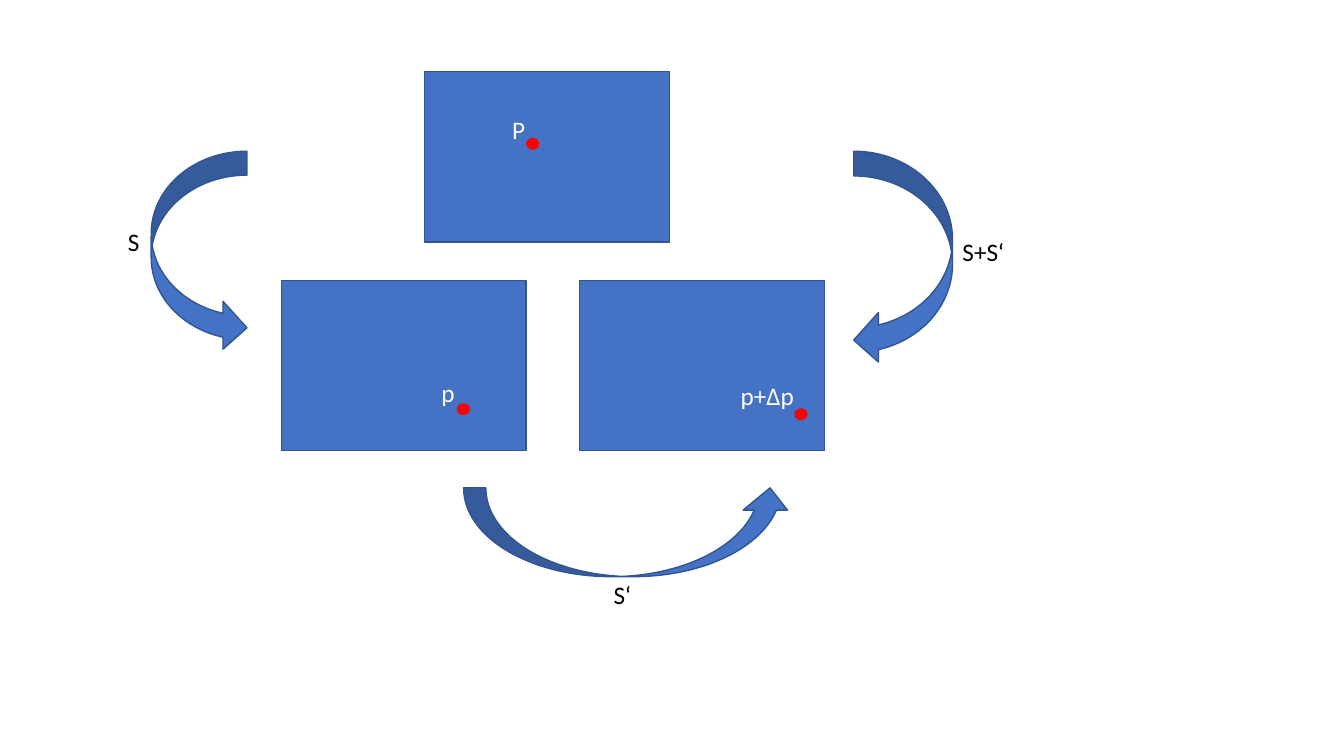
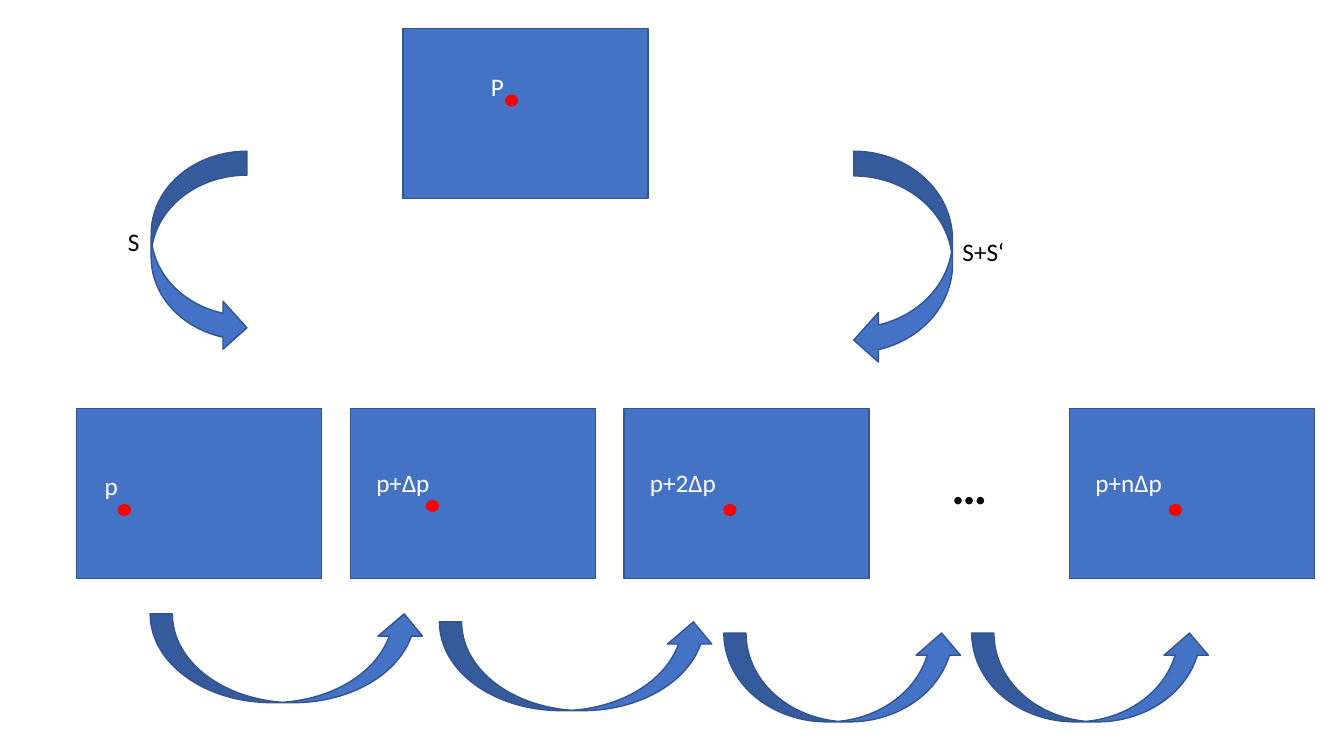
from dataclasses import dataclass

from pptx import Presentation
from pptx.dml.color import RGBColor
from pptx.enum.shapes import MSO_SHAPE
from pptx.enum.text import MSO_AUTO_SIZE
from pptx.util import Pt

RECTANGLE = MSO_SHAPE.RECTANGLE
ELLIPSE = MSO_SHAPE.OVAL
ARROW_LEFT_SIDE = MSO_SHAPE.CURVED_RIGHT_ARROW
ARROW_RIGHT_SIDE = MSO_SHAPE.CURVED_LEFT_ARROW
ARROW_BELOW = MSO_SHAPE.CURVED_UP_ARROW
FIT_SHAPE = MSO_AUTO_SIZE.SHAPE_TO_FIT_TEXT
BLANK_LAYOUT = 6


@dataclass(frozen=True)
class Theme:
    """Colours, font and sizes shared by both slides."""
    panel: RGBColor = RGBColor(0x44, 0x72, 0xC4)
    outline: RGBColor = RGBColor(0x32, 0x54, 0x91)
    point: RGBColor = RGBColor(0xFF, 0x00, 0x00)
    light: RGBColor = RGBColor(0xFF, 0xFF, 0xFF)
    dark: RGBColor = RGBColor(0x00, 0x00, 0x00)
    font: str = "Calibri"
    label_size: float = 18
    ellipsis_size: float = 36
    outline_width: float = 1


THEME = Theme()
PANEL_SIZE = (175, 121.7)
POINT_SIZE = (9.4, 8.6)
LABEL_HEIGHT = 29.1
ARROW_DEPTH = 63.4
ROW_LEFT, ROW_TOP, ROW_PITCH = 54.7, 291.6, 195.5

# Side arrows: shape, (left, top, width, height)
SIDE_ARROWS = [
    (ARROW_LEFT_SIDE, (108, 108, 68.4, 143.3)),
    (ARROW_RIGHT_SIDE, (609.8, 108, 70.6, 152.6)),
]
# Labels on the page: text, (left, top), width
SIDE_LABELS = [
    ("S", (84.2, 158.4), 32.4),
    ("S+S‘", (680.4, 164.9), 51.8),
]
# Panels: (left, top), label, label offset, label width, point offset
# Arrows below: left, top, width
SLIDES = [
    {
        "panels": [
            ((303.1, 51.1), "P", (55.6, 27.1), 17.3, (72.7, 47.3)),
            ((200.9, 200.2), "p", (107.3, 65.5), 28.1, (125.3, 87.8)),
            ((414, 200.2), "p+Δp", (108, 67.7), 69.1, (153.4, 91.4)),
        ],
        "arrows": [(331.2, 348.5, 234.7)],
        "labels": [("S‘", (431.3, 410.4), 91.4)],
        "ellipsis": None,
    },
    {
        "panels": [
            ((288, 20.2), "P", (55.6, 27.1), 17.3, (72.7, 47.3)),
            ((ROW_LEFT, ROW_TOP), "p", (13, 41), 28.1, (29.5, 68.4)),
            ((ROW_LEFT + ROW_PITCH, ROW_TOP), "p+Δp",
             (11.5, 38.9), 69.1, (54, 65.5)),
            ((ROW_LEFT + 2 * ROW_PITCH, ROW_TOP), "p+2Δp",
             (11.5, 38.9), 69.1, (71, 68.4)),
            ((763.9, ROW_TOP), "p+nΔp", (11.5, 38.9), 69.1, (71, 68.4)),
        ],
        "arrows": [
            (107.3, 438.5, 197.3),
            (313.9, 444.2, 197.3),
            (517, 452.2, 171.4),
            (694.1, 452.2, 171.4),
        ],
        "labels": [],
        "ellipsis": ("…", (672.5, 321.1, 39.6, 51.1)),
    },
]


def add_figure(page, kind, area, fill, outline=None):
    """Add a filled shape, with an outline when a colour is given."""
    shape = page.shapes.add_shape(kind, *map(Pt, area))
    shape.shadow.inherit = False
    shape.fill.solid()
    shape.fill.fore_color.rgb = fill
    if outline is None:
        shape.line.fill.background()
    else:
        shape.line.color.rgb = outline
        shape.line.width = Pt(THEME.outline_width)


def add_label(page, text, area, color, size=THEME.label_size, bold=False):
    """Add one line of text in a box."""
    box = page.shapes.add_textbox(*map(Pt, area))
    frame = box.text_frame
    frame.word_wrap = True
    frame.auto_size = FIT_SHAPE
    para = frame.paragraphs[0]
    para.text = text
    para.font.name = THEME.font
    para.font.size = Pt(size)
    para.font.bold = bold
    para.font.color.rgb = color


def add_panel(page, corner, text, label_offset, label_width, point_offset):
    """Add a panel with its marked point and the point's label."""
    left, top = corner
    add_figure(page, RECTANGLE, (*corner, *PANEL_SIZE), THEME.panel, THEME.outline)
    add_figure(page, ELLIPSE,
               (left + point_offset[0], top + point_offset[1], *POINT_SIZE),
               THEME.point)
    add_label(page, text,
              (left + label_offset[0], top + label_offset[1],
               label_width, LABEL_HEIGHT), THEME.light)


def build_page(deck, content):
    """Build one diagram slide from its content."""
    page = deck.slides.add_slide(deck.slide_layouts[BLANK_LAYOUT])
    for panel in content["panels"]:
        add_panel(page, *panel)
    below = [(ARROW_BELOW, (*arrow, ARROW_DEPTH)) for arrow in content["arrows"]]
    for kind, area in SIDE_ARROWS + below:
        add_figure(page, kind, area, THEME.panel, THEME.outline)
    for text, corner, width in SIDE_LABELS + content["labels"]:
        add_label(page, text, (*corner, width, LABEL_HEIGHT), THEME.dark)
    if content["ellipsis"]:
        text, area = content["ellipsis"]
        add_label(page, text, area, THEME.dark, THEME.ellipsis_size, bold=True)


deck = Presentation()
deck.slide_width, deck.slide_height = Pt(960), Pt(540)
for slide_content in SLIDES:
    build_page(deck, slide_content)
deck.save("out.pptx")
